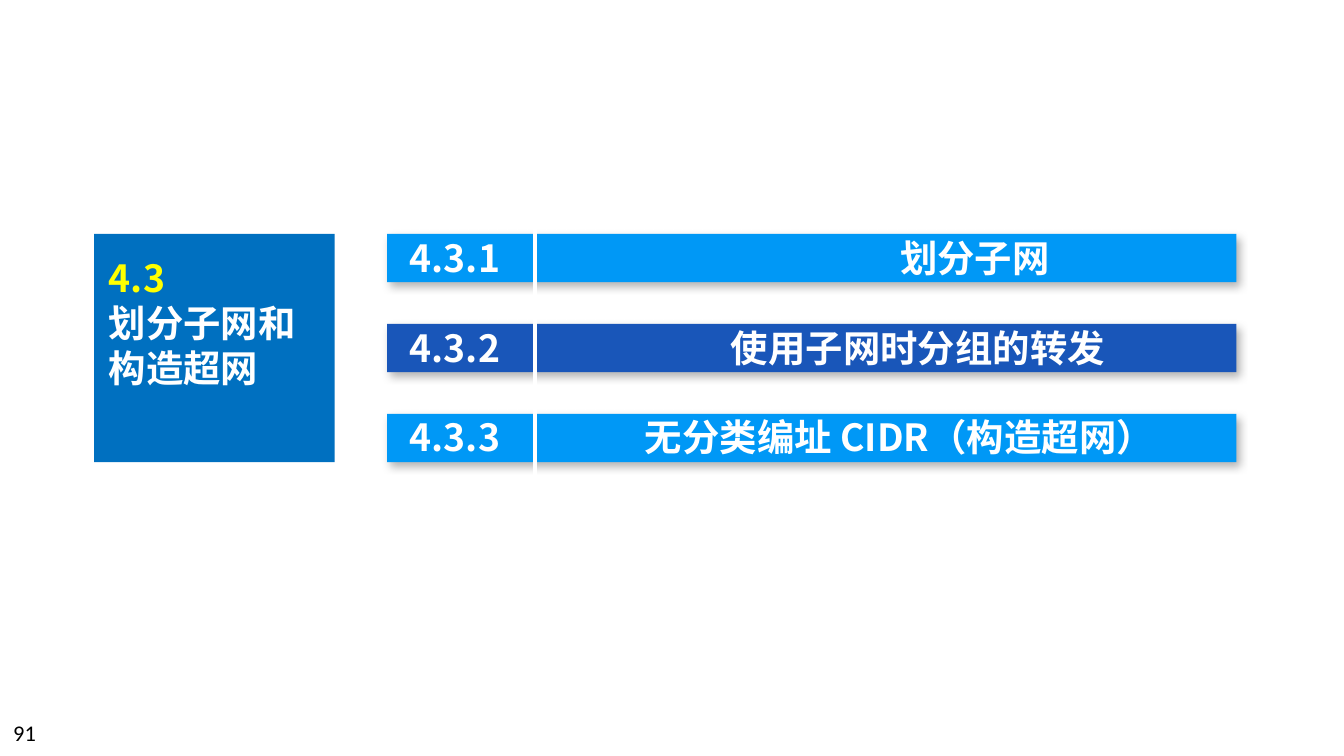
from dataclasses import dataclass

from lxml import etree
from pptx import Presentation
from pptx import util as u
from pptx.dml.color import RGBColor
from pptx.enum import shapes, text
from pptx.oxml import ns


@dataclass
class Theme:
    sky: str = "0098F6"
    navy: str = "1956B9"
    block: str = "0070C0"
    gold: str = "FFFF00"
    white: str = "FFFFFF"
    black: str = "000000"
    cjk: str = "Noto Sans CJK SC"
    latin: str = "Calibri"
    head: int = 20
    small: int = 12
    pitch: int = 24


def node(top, tag, **attrs):
    return etree.SubElement(top, ns.qn(tag), attrs)


class Deck:
    def __init__(self, theme, wide, high):
        self.theme = theme
        self.file = Presentation()
        self.file.slide_width = u.Inches(wide)
        self.file.slide_height = u.Inches(high)
        self.slide = self.file.slides.add_slide(self.file.slide_layouts[5])

    def rect(self, box, fill, shade=False):
        bar = self.slide.shapes.add_shape(
            shapes.MSO_SHAPE.RECTANGLE, *map(u.Inches, box))
        bar.shadow.inherit = False
        bar.fill.solid()
        bar.fill.fore_color.rgb = RGBColor.from_string(fill)
        bar.line.fill.background()
        if shade:
            glow = node(
                bar.element.spPr.find(ns.qn("a:effectLst")), "a:outerShdw",
                blurRad=str(u.Pt(4.5)), dist=str(u.Pt(2.6)),
                dir=str(53 * 60000), algn="tl", rotWithShape="0")
            tint = node(glow, "a:srgbClr", val=self.theme.black)
            node(tint, "a:alpha", val="30000")

    def line(self, start, end, color, width):
        rule = self.slide.shapes.add_connector(
            shapes.MSO_CONNECTOR.STRAIGHT, *map(u.Inches, start + end))
        rule.line.color.rgb = RGBColor.from_string(color)
        rule.line.width = u.Pt(width)
        node(rule.element.spPr, "a:effectLst")

    def run(self, para, words, color, size, font, bold=True):
        part = para.add_run()
        part.text = words
        part.font.size = u.Pt(size)
        part.font.bold = bold
        part.font.color.rgb = RGBColor.from_string(color)
        part.font.name = font
        node(part.font._element, "a:ea", typeface=font)

    def frame(self, shape, box):
        shape.left, shape.top, shape.width, shape.height = map(u.Inches, box)
        body = shape.text_frame
        body.word_wrap = True
        body.auto_size = text.MSO_AUTO_SIZE.NONE
        body.vertical_anchor = text.MSO_ANCHOR.TOP
        return body

    def block(self, shape, box, rows, gap=0):
        self.slide.shapes.element.append(shape.element)
        body = self.frame(shape, box)
        for i, (runs, stop) in enumerate(rows):
            para = body.add_paragraph() if i else body.paragraphs[0]
            para.alignment = text.PP_ALIGN.LEFT
            para.line_spacing = u.Pt(self.theme.pitch)
            para.space_before = u.Pt(gap if i else 0)
            if stop:
                tabs = node(para._p.get_or_add_pPr(), "a:tabLst")
                node(tabs, "a:tab", pos=str(u.Inches(stop)), algn="l")
            for words, color in runs:
                self.run(para, words, color, self.theme.head, self.theme.cjk)

    def title(self, box, rows):
        self.block(self.slide.shapes.title, box, rows)

    def list(self, box, rows, gap):
        shape = self.slide.shapes.add_textbox(*map(u.Inches, box))
        self.block(shape, box, rows, gap)

    def label(self, box, words):
        shape = self.slide.shapes.add_textbox(*map(u.Inches, box))
        body = self.frame(shape, box)
        self.run(body.paragraphs[0], words, self.theme.black,
                 self.theme.small, self.theme.latin, False)


def main():
    look = Theme()
    deck = Deck(look, 10, 10 * 9 / 16)
    topics = [
        ("4.3.1", "划分子网", look.sky, 3.65),
        ("4.3.2", "使用子网时分组的转发", look.navy, 2.39),
        ("4.3.3", "无分类编址 CIDR（构造超网）", look.sky, 1.75),
    ]
    for i, (num, name, fill, stop) in enumerate(topics):
        deck.rect((2.88, 1.74 + 0.67 * i, 6.32, 0.36), fill, True)
    deck.line((3.98, 1.66), (3.98, 3.62), look.white, 2.25)
    rows = [([(f"{num}\t", look.white), (name, look.white)], stop)
            for num, name, fill, stop in topics]
    deck.list((2.95, 1.7, 6.1, 1.78), rows, look.pitch)
    deck.rect((0.7, 1.74, 1.79, 1.7), look.block)
    heads = [([("4.3", look.gold)], 0),
             ([("划分子网和构造超网", look.white)], 0)]
    deck.title((0.71, 1.85, 1.78, 1.11), heads)
    deck.label((0, 5.3, 2.33, 0.3), "91")
    deck.file.save("out.pptx")


if __name__ == "__main__":
    main()
